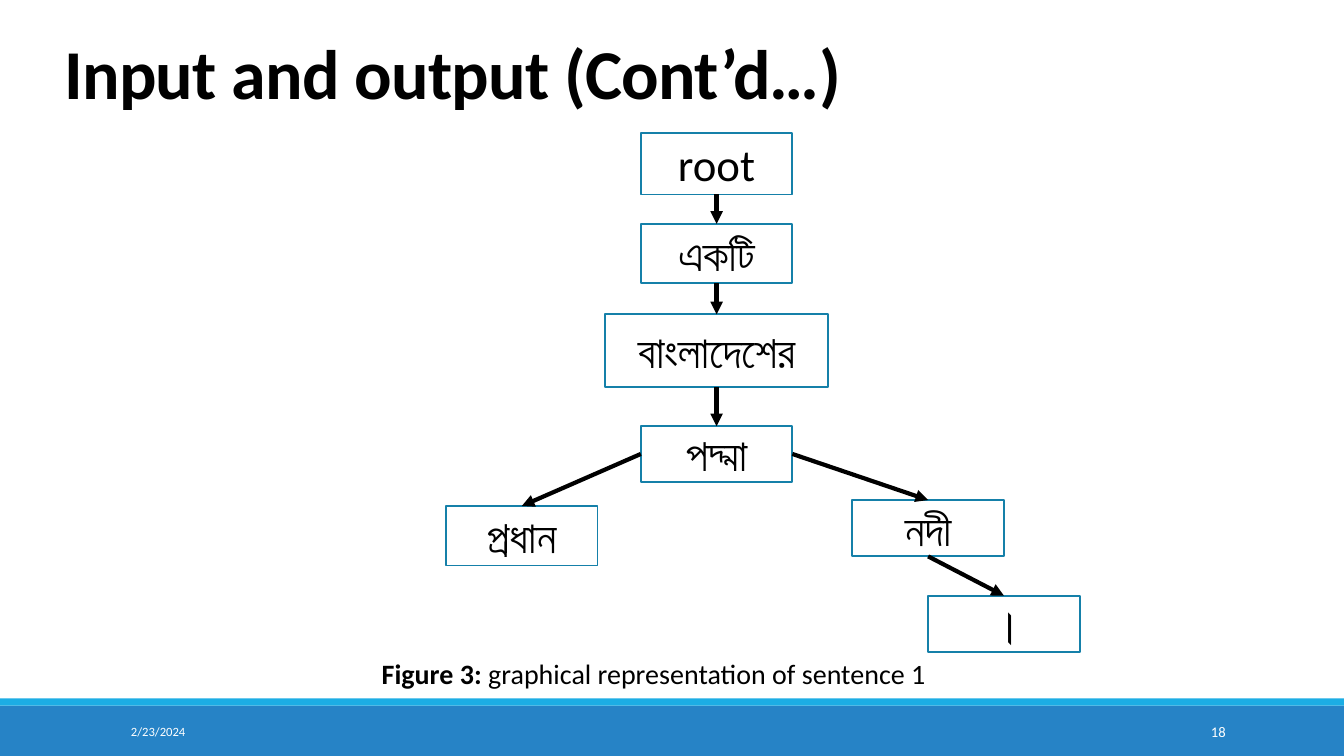
from lxml.etree import SubElement
from pptx import Presentation
from pptx.dml.color import RGBColor
from pptx.enum.shapes import MSO_CONNECTOR as Connector, MSO_SHAPE as Shape
from pptx.enum.text import MSO_ANCHOR as Anchor, PP_ALIGN as Align
from pptx.oxml.ns import qn
from pptx.util import Cm, Pt

BLACK = RGBColor(0x00, 0x00, 0x00)
WHITE = RGBColor(0xFF, 0xFF, 0xFF)
NODE_LINE = RGBColor(0x15, 0x80, 0xA9)
FOOTER_BLUE = RGBColor(0x26, 0x83, 0xC6)
STRIPE_BLUE = RGBColor(0x1C, 0xAD, 0xE4)
FONT = "Calibri"
TOP, LEFT, BOTTOM, RIGHT = range(4)

NODES = {
    "root": (6.81, 0, 3.82, 1.55),
    "একটি": (6.81, 2.29, 3.82, 1.5),
    "বাংলাদেশের": (6.81, 4.57, 5.62, 1.83),
    "পদ্মা": (6.81, 7.39, 3.82, 1.4),
    "।": (14.05, 11.66, 3.82, 1.42),
    "নদী": (12.14, 9.25, 3.82, 1.42),
    "প্রধান": (1.9, 9.4, 3.82, 1.5),
}
EDGES = [
    ("root", BOTTOM, "একটি"),
    ("একটি", BOTTOM, "বাংলাদেশের"),
    ("বাংলাদেশের", BOTTOM, "পদ্মা"),
    ("পদ্মা", LEFT, "প্রধান"),
    ("পদ্মা", RIGHT, "নদী"),
    ("নদী", BOTTOM, "।"),
]


def add_run(paragraph, text, size, color=BLACK, bold=False):
    """Append one formatted run and return it."""
    run = paragraph.add_run()
    run.text = text
    run.font.name = FONT
    run.font.size = Pt(size)
    run.font.bold = bold
    run.font.color.rgb = color
    return run


def add_box(slide, left, top, width, height, fill):
    """Draw a filled rectangle without line or shadow."""
    shape = slide.shapes.add_shape(Shape.RECTANGLE, left, top, width, height)
    shape.shadow.inherit = False
    shape.fill.solid()
    shape.fill.fore_color.rgb = fill
    shape.line.fill.background()
    return shape


def add_text(slide, left, top, width, height, anchor=Anchor.TOP, align=Align.LEFT):
    """Add a wrapping text box and return its first paragraph."""
    frame = slide.shapes.add_textbox(left, top, width, height).text_frame
    frame.word_wrap = True
    frame.vertical_anchor = anchor
    paragraph = frame.paragraphs[0]
    paragraph.alignment = align
    return paragraph


def add_arrow(slide, parent, side, child):
    """Join a side of the parent to the top of the child with an arrow."""
    arrow = slide.shapes.add_connector(Connector.STRAIGHT, 0, 0, 0, 0)
    arrow.begin_connect(parent, side)
    arrow.end_connect(child, TOP)
    arrow.line.color.rgb = BLACK
    arrow.line.width = Pt(3)
    SubElement(arrow.line._get_or_add_ln(), qn("a:tailEnd"), type="triangle")
    SubElement(arrow._element.spPr, qn("a:effectLst"))


def add_footer(slide, left, top, width, height):
    """Draw the footer band with its stripe, date and slide number."""
    stripe = Cm(0.18)
    add_box(slide, left, top + stripe, width, height - stripe, FOOTER_BLUE)
    add_box(slide, left, top, width, stripe, STRIPE_BLUE)
    text_top, text_height = top + Cm(0.33), Cm(1.02)
    date = add_text(slide, left + Cm(3.05), text_top, Cm(6.86), text_height, Anchor.MIDDLE)
    add_run(date, "2/23/2024", 9, WHITE)
    number = add_text(slide, left + Cm(27.51), text_top, Cm(3.63), text_height,
                      Anchor.MIDDLE, Align.RIGHT)
    add_run(number, "18", 10.5, WHITE)


def add_tree(slide, left, top):
    """Draw the dependency tree from its upper left corner."""
    boxes = {}
    for word, (center, offset, width, height) in NODES.items():
        box = add_box(slide, left + Cm(center - width / 2), top + Cm(offset),
                      Cm(width), Cm(height), WHITE)
        box.line.color.rgb = NODE_LINE
        box.line.width = Pt(1.25)
        box.text_frame.vertical_anchor = Anchor.MIDDLE
        paragraph = box.text_frame.paragraphs[0]
        paragraph.alignment = Align.CENTER
        add_run(paragraph, word, 32)
        boxes[word] = box
    for parent, side, child in EDGES:
        add_arrow(slide, boxes[parent], side, boxes[child])


def add_caption(slide, left, top, width, height):
    """Write the figure caption."""
    paragraph = add_text(slide, left, top, width, height)
    add_run(paragraph, "Figure 3:", 20, bold=True)
    add_run(paragraph, " graphical representation of sentence 1", 20)


def add_title(slide, left, top, width, height):
    """Write the slide title."""
    paragraph = add_text(slide, left, top, width, height)
    paragraph.line_spacing = 0.85
    run = add_run(paragraph, "Input and output (Cont’d…)", 50, bold=True)
    run.font._element.set("spc", "-50")


def main():
    """Build and save the slide."""
    presentation = Presentation()
    presentation.slide_width = Cm(33.87)
    presentation.slide_height = Cm(19.05)
    slide = presentation.slides.add_slide(presentation.slide_layouts[6])
    add_footer(slide, 0, Cm(17.6), presentation.slide_width, Cm(1.45))
    add_tree(slide, Cm(11.25), Cm(3.35))
    add_caption(slide, Cm(9.37), Cm(16.43), Cm(15.29), Cm(1.11))
    add_title(slide, Cm(1.37), Cm(0.94), Cm(22.63), Cm(2.29))
    presentation.save("out.pptx")


if __name__ == "__main__":
    main()
